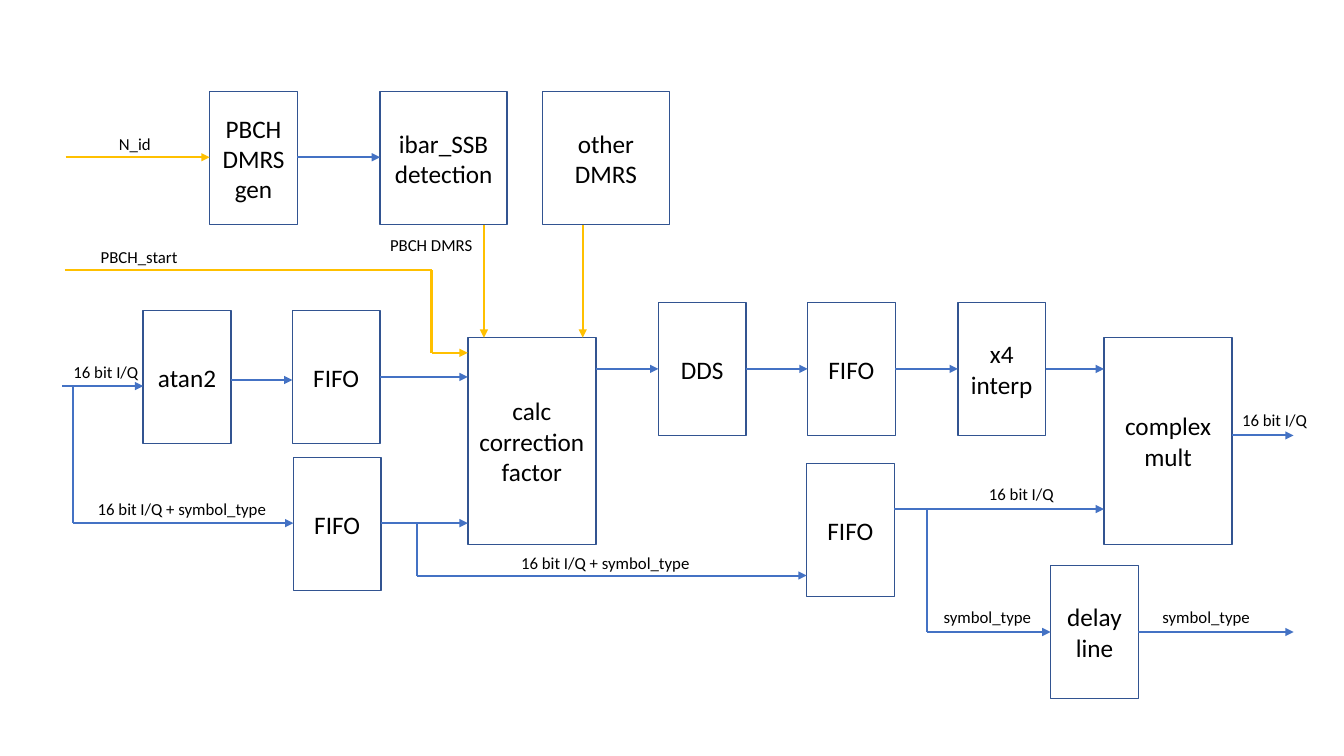
"""Build a block diagram of the DMRS phase correction signal chain."""
from dataclasses import dataclass

from lxml import etree
from pptx import Presentation
from pptx.dml.color import RGBColor
from pptx.enum.shapes import MSO_CONNECTOR, MSO_SHAPE
from pptx.enum.text import MSO_ANCHOR, MSO_AUTO_SIZE, PP_ALIGN
from pptx.oxml.ns import qn
from pptx.util import Inches, Pt

STRAIGHT = MSO_CONNECTOR.STRAIGHT
RECTANGLE = MSO_SHAPE.RECTANGLE
MIDDLE = MSO_ANCHOR.MIDDLE
FIT_SHAPE = MSO_AUTO_SIZE.SHAPE_TO_FIT_TEXT
CENTER, LEFT = PP_ALIGN.CENTER, PP_ALIGN.LEFT


@dataclass(frozen=True)
class Theme:
    """Colours, font and sizes of the diagram."""
    font: str = "Calibri"
    block_size: int = 18
    label_size: int = 12
    ink: str = "000000"
    paper: str = "FFFFFF"
    outline: str = "325491"
    data: str = "4472C4"
    control: str = "FFC000"
    outline_width: float = 1
    wire_width: float = 1.5


THEME = Theme()
DATA, CONTROL = THEME.data, THEME.control

NARROW, WIDE, TALL = (0.87, 1.32), (1.26, 1.32), (1.27, 2.05)
TOP_ROW, INPUT_ROW, OUTPUT_ROW, TALL_ROW = 0.91, 3.08, 3.0, 3.35
BLOCKS = {
    "dmrs_gen": ("PBCH\nDMRS\ngen", 2.08, TOP_ROW, NARROW),
    "ssb_detection": ("ibar_SSB\ndetection", 3.77, TOP_ROW, WIDE),
    "other_dmrs": ("other\vDMRS", 5.38, TOP_ROW, WIDE),
    "atan2": ("atan2", 1.42, INPUT_ROW, NARROW),
    "phase_fifo": ("FIFO", 2.9, INPUT_ROW, NARROW),
    "sample_fifo": ("FIFO", 2.91, 4.54, NARROW),
    "correction": ("calc correction factor", 4.64, TALL_ROW, TALL),
    "dds": ("DDS", 6.53, OUTPUT_ROW, NARROW),
    "dds_fifo": ("FIFO", 8.01, OUTPUT_ROW, NARROW),
    "interp": ("x4 interp", 9.5, OUTPUT_ROW, NARROW),
    "delay_fifo": ("FIFO", 8.0, 4.6, NARROW),
    "mult": ("complex mult", 10.95, TALL_ROW, TALL),
    "delay_line": ("delay line", 10.42, 5.61, NARROW),
}

WIRES = [
    (CONTROL, (0.65, 1.56), ("dmrs_gen", 1.56)),
    (DATA, ("dmrs_gen", 1.56), ("ssb_detection", 1.56)),
    (CONTROL, (4.8, "ssb_detection"), (4.8, "correction")),
    (CONTROL, (5.78, "other_dmrs"), (5.78, "correction")),
    (CONTROL, (0.64, 2.68), (4.28, 2.68), (4.28, 3.5), ("correction", 3.5)),
    (DATA, (0.62, 3.83), ("atan2", 3.83)),
    (DATA, ("atan2", 3.77), ("phase_fifo", 3.77)),
    (DATA, ("phase_fifo", 3.74), ("correction", 3.74)),
    (DATA, (0.72, 3.83), (0.72, 5.19), ("sample_fifo", 5.19)),
    (DATA, ("sample_fifo", 5.19), ("correction", 5.19)),
    (DATA, (4.14, 5.19), (4.14, 5.71), ("delay_fifo", 5.71)),
    (DATA, ("correction", 3.66), ("dds", 3.66)),
    (DATA, ("dds", 3.66), ("dds_fifo", 3.66)),
    (DATA, ("dds_fifo", 3.66), ("interp", 3.66)),
    (DATA, ("interp", 3.66), ("mult", 3.66)),
    (DATA, ("delay_fifo", 5.05), ("mult", 5.05)),
    (DATA, (9.19, 5.05), (9.19, 6.27), ("delay_line", 6.27)),
    (DATA, ("mult", 4.32), (12.83, 4.32)),
    (DATA, ("delay_line", 6.27), (12.83, 6.27)),
]

LABEL_HEIGHT = 0.3
LABELS = {
    ("N_id", 0.52): [(1.08, 1.28)],
    ("PBCH DMRS", 1.03): [(3.77, 2.28)],
    ("PBCH_start", 0.97): [(0.9, 2.4)],
    ("16 bit I/Q", 0.85): [(0.63, 3.54), (9.71, 4.75), (12.22, 4.02)],
    ("16 bit I/Q + symbol_type", 1.89): [(0.87, 4.9), (5.07, 5.43)],
    ("symbol_type", 1.08): [(9.26, 5.97), (11.43, 5.97)],
}


def write(frame, text, size, align, layout):
    """Put formatted text into a text frame."""
    for attribute, value in layout.items():
        setattr(frame, attribute, value)
    frame.text = text
    for paragraph in frame.paragraphs:
        paragraph.alignment = align
        for run in paragraph.runs:
            run.font.name, run.font.size = THEME.font, Pt(size)
            run.font.color.rgb = RGBColor.from_string(THEME.ink)


def add_block(slide, text, left, top, size):
    """Draw one processing block."""
    block = slide.shapes.add_shape(
        RECTANGLE, *map(Inches, (left, top, *size)))
    block.shadow.inherit = False
    block.fill.solid()
    block.fill.fore_color.rgb = RGBColor.from_string(THEME.paper)
    block.line.color.rgb = RGBColor.from_string(THEME.outline)
    block.line.width = Pt(THEME.outline_width)
    write(block.text_frame, text, THEME.block_size, CENTER,
          {"word_wrap": True, "vertical_anchor": MIDDLE})


def locate(point, leaving):
    """Resolve block names to the edge that a wire leaves or enters."""
    place = []
    for axis, value in enumerate(point):
        if value in BLOCKS:
            _, *corner, size = BLOCKS[value]
            value = corner[axis] + (size[axis] if leaving else 0)
        place.append(Inches(value))
    return place


def add_wire(slide, color, *points):
    """Draw a signal path with an arrowhead on its last segment."""
    places = [locate(point, index == 0) for index, point in enumerate(points)]
    for start, end in zip(places, places[1:]):
        segment = slide.shapes.add_connector(STRAIGHT, *start, *end)
        segment.line.color.rgb = RGBColor.from_string(color)
        segment.line.width = Pt(THEME.wire_width)
        etree.SubElement(segment.element.spPr, qn("a:effectLst"))
    etree.SubElement(segment.line._get_or_add_ln(), qn("a:tailEnd"),
                     type="triangle")


def add_label(slide, text, width, left, top):
    """Write a signal name beside its wire."""
    label = slide.shapes.add_textbox(
        *map(Inches, (left, top, width, LABEL_HEIGHT)))
    write(label.text_frame, text, THEME.label_size, LEFT,
          {"word_wrap": False, "auto_size": FIT_SHAPE})


deck = Presentation()
deck.slide_width, deck.slide_height = Inches(13.33), Inches(7.5)
diagram = deck.slides.add_slide(deck.slide_layouts[6])
for content in BLOCKS.values():
    add_block(diagram, *content)
for wire in WIRES:
    add_wire(diagram, *wire)
for signal, spots in LABELS.items():
    for spot in spots:
        add_label(diagram, *signal, *spot)
deck.save("out.pptx")
